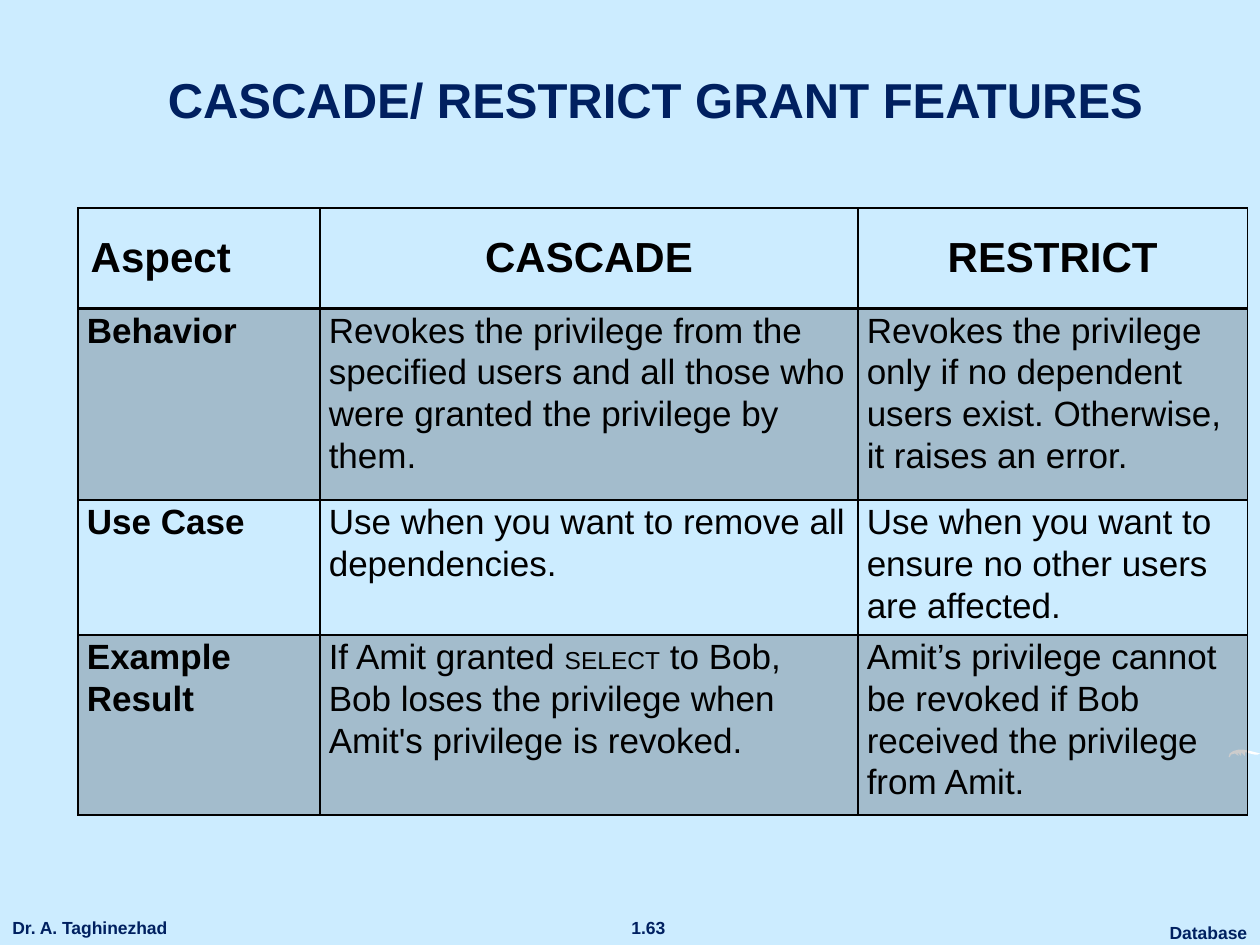
"""Build the slide comparing the CASCADE and RESTRICT grant features."""
from typing import NamedTuple

from lxml import etree
from pptx import Presentation
from pptx import util as u
from pptx.dml.color import RGBColor
from pptx.enum import text as t
from pptx.oxml import ns

SKY = RGBColor(0xCC, 0xEC, 0xFF)
NAVY = RGBColor(0x00, 0x20, 0x60)
BLACK = RGBColor(0x00, 0x00, 0x00)
WHITE = RGBColor(0xFF, 0xFF, 0xFF)
BAND_ALPHA = 20
HEADING_RULE = 2.25


class Footer(NamedTuple):
    text: str
    left: float
    top: float
    width: float


class Span(NamedTuple):
    text: str
    size: int = 20


FOOTERS = [
    Footer("Database", 9.18, 7.27, 0.82),
    Footer("1.63", 4.9, 7.23, 0.49),
    Footer("Dr. A. Taghinezhad", 0, 7.23, 1.47),
]
HEADINGS = ["Aspect", "CASCADE", "RESTRICT"]
FEATURES = [
    [[Span("Behavior")],
     [Span("Revokes the privilege from the specified users and all those who "
           "were granted the privilege by them.")],
     [Span("Revokes the privilege only if no dependent users exist. "
           "Otherwise, it raises an error.")]],
    [[Span("Use Case")],
     [Span("Use when you want to remove all dependencies.")],
     [Span("Use when you want to ensure no other users are affected.")]],
    [[Span("Example Result")],
     [Span("If Amit granted "), Span("SELECT", 14),
      Span(" to Bob, Bob loses the privilege when Amit's privilege is revoked.")],
     [Span("Amit’s privilege cannot be revoked if Bob received the privilege "
           "from Amit.")]],
]
COLUMN_WIDTHS = [1.92, 4.27, 3.09]
ROW_HEIGHTS = [0.8, 1.52, 0.76, 1.27]
TABLE_HEIGHT = 4.78
SWOOSH = [
    (9.75, 6.01), (9.76, 5.98), (9.79, 5.96), (9.83, 5.95), (9.87, 5.95),
    (9.92, 5.96), (9.96, 5.97), (10, 5.98), (9.98, 5.99), (9.96, 5.99),
    (9.92, 5.98), (9.88, 5.97), (9.88, 6), (9.85, 5.97), (9.85, 6),
    (9.82, 5.97), (9.83, 6), (9.8, 5.98), (9.77, 5.99), (9.76, 6.01),
]


def write(paragraph, text: str, *, size: int, color: RGBColor = BLACK,
          bold: bool = False, align=t.PP_ALIGN.LEFT) -> None:
    paragraph.alignment = align
    run = paragraph.add_run()
    run.text = text
    run.font.name = "Arial"
    run.font.size = u.Pt(size)
    run.font.bold = bold
    run.font.color.rgb = color


def add_footer(slide, footer: Footer) -> None:
    box = slide.shapes.add_textbox(u.Inches(footer.left), u.Inches(footer.top),
                                   u.Inches(footer.width), u.Inches(0.27))
    box.text_frame.word_wrap = False
    align = t.PP_ALIGN.CENTER if footer.left else t.PP_ALIGN.LEFT
    write(box.text_frame.paragraphs[0], footer.text, size=10, color=NAVY,
          bold=True, align=align)


def add_swoosh(slide) -> None:
    points = [(u.Inches(x), u.Inches(y)) for x, y in SWOOSH]
    builder = slide.shapes.build_freeform(*points[0])
    builder.add_line_segments(points[1:], close=True)
    swoosh = builder.convert_to_shape()
    swoosh.shadow.inherit = False
    swoosh.fill.solid()
    swoosh.fill.fore_color.rgb = WHITE
    swoosh.line.fill.background()


def add_title(slide, text: str) -> None:
    title = slide.shapes.title
    title.left, title.top = u.Inches(0.84), u.Inches(0.4)
    title.width, title.height = u.Inches(8.83), u.Inches(0.67)
    title.text_frame.word_wrap = True
    title.text_frame.vertical_anchor = t.MSO_ANCHOR.BOTTOM
    write(title.text_frame.paragraphs[0], text, size=28, color=NAVY, bold=True,
          align=t.PP_ALIGN.CENTER)


def set_borders(cell, **widths: float) -> None:
    properties = cell._tc.get_or_add_tcPr()
    for side in "LRTB":
        line = etree.SubElement(properties, ns.qn(f"a:ln{side}"),
                                w=str(u.Pt(widths.get(side, 1))))
        fill = etree.SubElement(line, ns.qn("a:solidFill"))
        etree.SubElement(fill, ns.qn("a:srgbClr"), val=str(BLACK))


def fill_band(cell) -> None:
    cell.fill.solid()
    cell.fill.fore_color.rgb = BLACK
    color = cell._tc.tcPr.find(ns.qn("a:solidFill")).find(ns.qn("a:srgbClr"))
    etree.SubElement(color, ns.qn("a:alpha"), val=str(BAND_ALPHA * 1000))


def format_heading(cell, heading: str, column: int) -> None:
    set_borders(cell, B=HEADING_RULE)
    cell.fill.background()
    cell.vertical_anchor = t.MSO_ANCHOR.MIDDLE
    write(cell.text_frame.paragraphs[0], heading, size=24, bold=True,
          align=t.PP_ALIGN.CENTER if column else t.PP_ALIGN.LEFT)


def format_feature(cell, spans: list[Span], row: int, column: int) -> None:
    set_borders(cell, T=HEADING_RULE if row == 1 else 1)
    if row % 2:
        fill_band(cell)
    else:
        cell.fill.background()
    cell.margin_left = cell.margin_right = u.Inches(0.07)
    cell.margin_top = cell.margin_bottom = 0
    paragraph = cell.text_frame.paragraphs[0]
    paragraph.line_spacing = 1.07
    for span in spans:
        write(paragraph, span.text, size=span.size, bold=column == 0)


def add_features(slide) -> None:
    frame = slide.shapes.add_table(
        len(ROW_HEIGHTS), len(COLUMN_WIDTHS), u.Inches(0.62), u.Inches(1.65),
        u.Inches(sum(COLUMN_WIDTHS)), u.Inches(TABLE_HEIGHT))
    table = frame.table
    table.first_row = table.horz_banding = False
    for column, width in zip(table.columns, COLUMN_WIDTHS):
        column.width = u.Inches(width)
    for row, height in zip(table.rows, ROW_HEIGHTS):
        row.height = u.Inches(height)
    frame.height = u.Inches(TABLE_HEIGHT)
    for column, heading in enumerate(HEADINGS):
        format_heading(table.cell(0, column), heading, column)
    for row, feature in enumerate(FEATURES, start=1):
        for column, spans in enumerate(feature):
            format_feature(table.cell(row, column), spans, row, column)


def main() -> None:
    deck = Presentation()
    deck.slide_width, deck.slide_height = u.Inches(10), u.Inches(7.5)
    slide = deck.slides.add_slide(deck.slide_layouts[5])
    slide.background.fill.solid()
    slide.background.fill.fore_color.rgb = SKY
    for footer in FOOTERS:
        add_footer(slide, footer)
    add_swoosh(slide)
    add_title(slide, "CASCADE/ RESTRICT GRANT FEATURES ")
    add_features(slide)
    deck.save("out.pptx")


if __name__ == "__main__":
    main()
